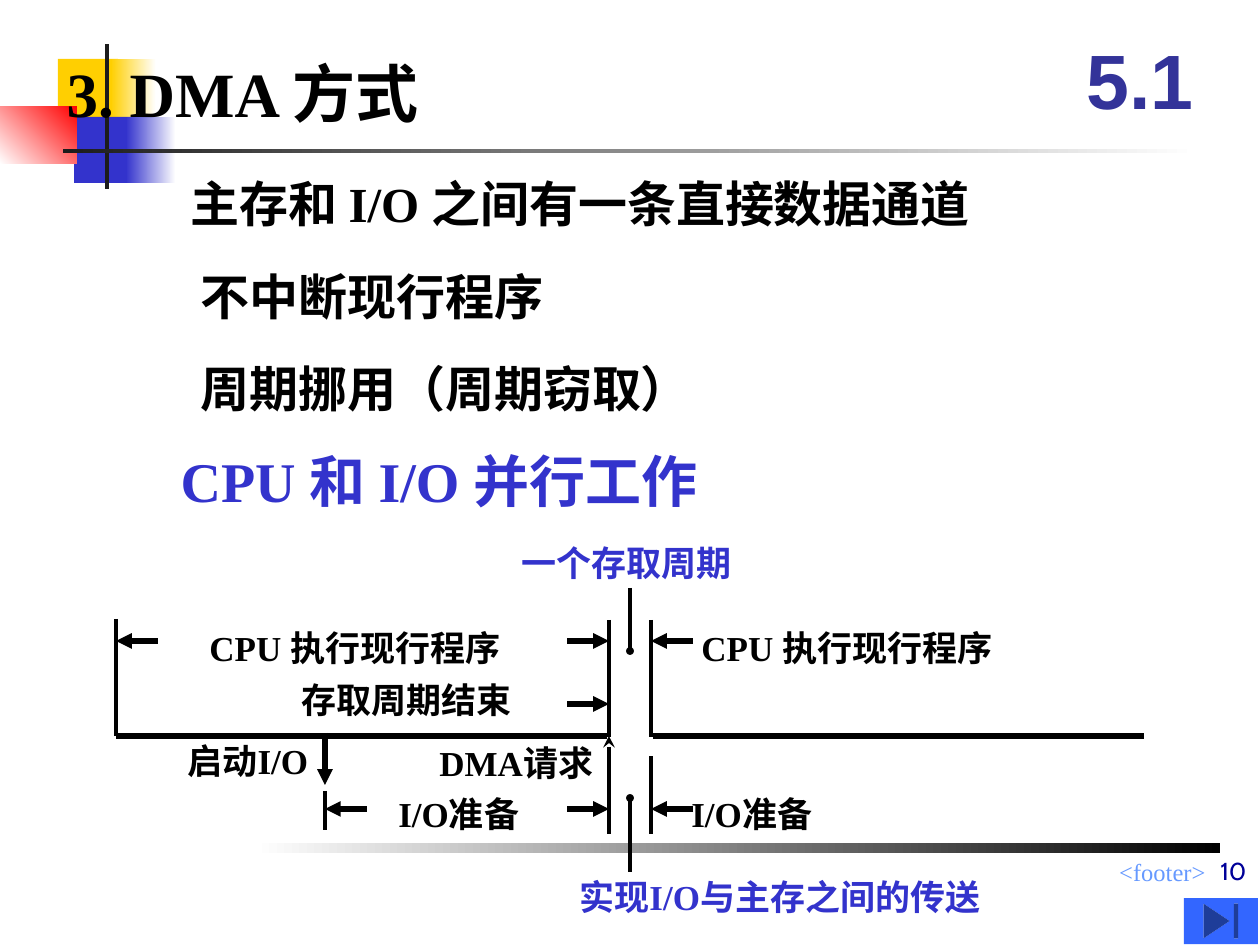
import lxml.etree
import pptx
import pptx.dml.color
import pptx.enum.shapes
import pptx.enum.text
import pptx.oxml.ns
import pptx.util

PX = 914400 / 126
RGBColor = pptx.dml.color.RGBColor
SHAPE = pptx.enum.shapes.MSO_SHAPE
ALIGN = pptx.enum.text.PP_ALIGN
ANCHOR = pptx.enum.text.MSO_ANCHOR
FIT = pptx.enum.text.MSO_AUTO_SIZE

WHITE = RGBColor(0xFF, 0xFF, 0xFF)
BLACK = RGBColor(0x00, 0x00, 0x00)
CHARCOAL = RGBColor(0x1C, 0x1C, 0x1C)
YELLOW = RGBColor(0xFF, 0xCF, 0x01)
RED = RGBColor(0xFF, 0x00, 0x00)
BLUE = RGBColor(0x33, 0x33, 0xCC)
INDIGO = RGBColor(0x33, 0x33, 0x99)
NAVY = RGBColor(0x00, 0x00, 0x99)
SKY = RGBColor(0x66, 0x99, 0xFF)
BUTTON_BLUE = RGBColor(0x33, 0x66, 0xFF)
SERIF = "Times New Roman"


def emu(*lengths):
    """Turn px lengths into EMU."""
    return [pptx.util.Emu(round(length * PX)) for length in lengths]


def add_run(paragraph, text, size, color=BLACK, font=SERIF, bold=True):
    """Add one formatted run to a paragraph."""
    run = paragraph.add_run()
    run.text = text
    run.font.size = pptx.util.Pt(size)
    run.font.name = font
    run.font.bold = bold
    run.font.color.rgb = color


def add_label(slide, box, text, size, color=BLACK, font=SERIF, bold=True,
              align=ALIGN.LEFT, anchor=ANCHOR.TOP, wrap=False):
    """Add a text box holding a single line."""
    frame = slide.shapes.add_textbox(*emu(*box)).text_frame
    frame.word_wrap = wrap
    frame.auto_size = FIT.NONE if wrap else FIT.SHAPE_TO_FIT_TEXT
    frame.vertical_anchor = anchor
    frame.paragraphs[0].alignment = align
    add_run(frame.paragraphs[0], text, size, color, font, bold)


def add_block(slide, box, color, fade_to=None, angle=180, kind=SHAPE.RECTANGLE):
    """Add a borderless shape, solid or fading between two colours."""
    block = slide.shapes.add_shape(kind, *emu(*box))
    block.shadow.inherit = False
    block.line.fill.background()
    if fade_to is None:
        block.fill.solid()
        block.fill.fore_color.rgb = color
        return
    block.fill.gradient()
    block.fill.gradient_angle = angle
    for stop, shade in zip(block.fill.gradient_stops, (color, fade_to)):
        stop.color.rgb = shade


def add_stroke(slide, start, end, width=2.25, head=None, tail=None, size="med"):
    """Add a black line with optional ends."""
    stroke = slide.shapes.add_connector(
        pptx.enum.shapes.MSO_CONNECTOR.STRAIGHT, *emu(*start, *end))
    stroke.line.color.rgb = BLACK
    stroke.line.width = pptx.util.Pt(width)
    qn = pptx.oxml.ns.qn
    outline = stroke.line._get_or_add_ln()
    for tag, ending in (("a:headEnd", head), ("a:tailEnd", tail)):
        if ending:
            lxml.etree.SubElement(outline, qn(tag), type=ending, w=size, len=size)
    lxml.etree.SubElement(stroke._element.spPr, qn("a:effectLst"))


def build_ornament(slide, left, top):
    """Place the coloured squares and the crossing rules."""
    add_block(slide, (left + 58, top + 15, 60, 66), YELLOW)
    add_block(slide, (left + 111, top + 15, 45, 66), WHITE, YELLOW)
    add_block(slide, (left + 74, top + 73, 58, 66), BLUE)
    add_block(slide, (left + 126, top + 73, 50, 66), WHITE, BLUE)
    add_block(slide, (left, top + 62, 77, 58), RED, WHITE, 225)
    add_block(slide, (left + 105, top, 4, 145), CHARCOAL)
    add_block(slide, (left + 63, top + 105, 1134, 4), WHITE, CHARCOAL)


def fill_placeholder(slide, placeholder, box):
    """Bring a placeholder to the front, move it and return its text frame."""
    slide.shapes._spTree.append(placeholder._element)
    placeholder.left, placeholder.top, placeholder.width, placeholder.height = emu(*box)
    frame = placeholder.text_frame
    frame.auto_size = FIT.NONE
    frame.vertical_anchor = ANCHOR.TOP
    return frame


def build_heading(slide, left, top):
    """Place the title and the section number."""
    frame = fill_placeholder(slide, slide.shapes.title, (left, top, 396, 88))
    frame.word_wrap = False
    frame.paragraphs[0].alignment = ALIGN.LEFT
    add_run(frame.paragraphs[0], "3. DMA 方式", 36)
    add_label(slide, (left + 1007, top - 27, 158, 116), "5.1", 44, INDIGO, "Arial",
              align=ALIGN.CENTER, anchor=ANCHOR.MIDDLE, wrap=True)


def build_points(slide, box):
    """Place the features of DMA as a list."""
    frame = fill_placeholder(slide, slide.placeholders[1], box)
    points = [
        (10, "主存和 I/O 之间有一条直接数据通道", 28, 53, BLACK),
        (20, "不中断现行程序", 28, 53, BLACK),
        (20, "周期挪用（周期窃取）", 28, 53, BLACK),
        (0, "CPU 和 I/O 并行工作", 32, 55, BLUE),
    ]
    for index, (indent, text, size, pitch, color) in enumerate(points):
        point = frame.add_paragraph() if index else frame.paragraphs[0]
        properties = point._p.get_or_add_pPr()
        properties.set("marL", str(emu(indent)[0]))
        properties.set("indent", "0")
        lxml.etree.SubElement(properties, pptx.oxml.ns.qn("a:buNone"))
        point.space_before = pptx.util.Pt(0)
        point.line_spacing = pptx.util.Pt(pitch)
        add_run(point, text, size, color)


def build_timeline(slide, left, top):
    """Place the timing diagram of cycle stealing."""
    launch, request, cycle, resume, finish = 209, 493, 514, 535, 1028
    axis, cpu_row, end_row, io_row = 201, 106, 169, 274

    def stroke(x1, y1, x2, y2, **style):
        """Draw a line relative to the diagram."""
        add_stroke(slide, (left + x1, top + y1), (left + x2, top + y2), **style)

    stroke(0, axis, request - 2, axis, width=3)
    stroke(resume + 2, axis, finish, axis, width=3)
    for x, y1, y2 in [(0, 84, axis), (request, 85, axis + 1), (resume, 85, axis + 1),
                      (resume, 221, 299), (launch, 256, 295)]:
        stroke(x, y1, x, y2)
    stroke(request, axis, request, 299, head="stealth")
    stroke(launch, axis - 3, launch, 250, width=3, tail="triangle")
    for tip, y, side in [(0, cpu_row, 1), (request, cpu_row, -1), (resume, cpu_row, 1),
                         (request, end_row, -1), (launch, io_row, 1),
                         (request, io_row, -1), (resume, io_row, 1)]:
        stroke(tip + 42 * side, y, tip, y, width=3, tail="triangle")
    stroke(cycle, 53, cycle, 116, tail="oval", size="sm")
    stroke(cycle, 337, cycle, 263, tail="oval", size="sm")

    for x, y, width, text, color in [
        (393, 0, 236, "一个存取周期", BLUE),
        (81, 85, 334, "CPU 执行现行程序", BLACK),
        (573, 85, 334, "CPU 执行现行程序", BLACK),
        (173, 137, 236, "存取周期结束", BLACK),
        (59, 198, 154, "启动I/O", BLACK),
        (311, 200, 188, "DMA请求", BLACK),
        (270, 251, 154, "I/O准备", BLACK),
        (563, 251, 154, "I/O准备", BLACK),
        (451, 334, 451, "实现I/O与主存之间的传送", BLUE),
    ]:
        add_label(slide, (left + x, top + y, width, 55), text, 20, color)


def build_footer(slide, left, top):
    """Place the closing rule, footer, page number and forward button."""
    add_block(slide, (left, top, 966, 10), BLACK, WHITE)
    add_label(slide, (left + 240, top + 8, 724, 33), "<footer>", 14, SKY, bold=False,
              align=ALIGN.RIGHT, wrap=True)
    add_label(slide, (left + 403, top - 14, 602, 63), "10", 14, NAVY, "Cabin", False,
              align=ALIGN.RIGHT, anchor=ANCHOR.BOTTOM, wrap=True)
    add_block(slide, (left + 930, top + 55, 74, 46), BUTTON_BLUE,
              kind=SHAPE.ACTION_BUTTON_END)


def main():
    """Build and save the slide."""
    deck = pptx.Presentation()
    deck.slide_width, deck.slide_height = emu(1260, 945)
    slide = deck.slides.add_slide(deck.slide_layouts[1])
    build_ornament(slide, 0, 44)
    build_footer(slide, 254, 843)
    build_heading(slide, 54, 48)
    build_points(slide, (168, 133, 860, 390))
    build_timeline(slide, 116, 535)
    deck.save("out.pptx")


if __name__ == "__main__":
    main()
